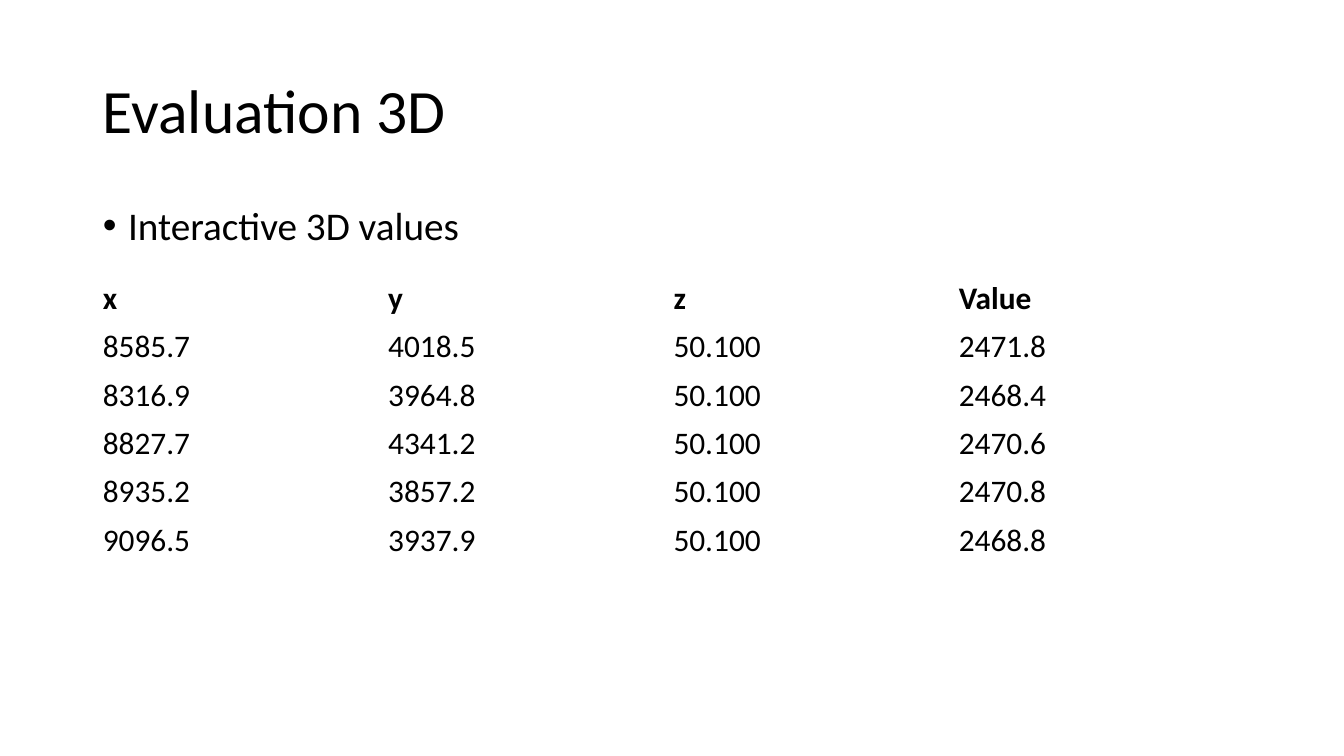
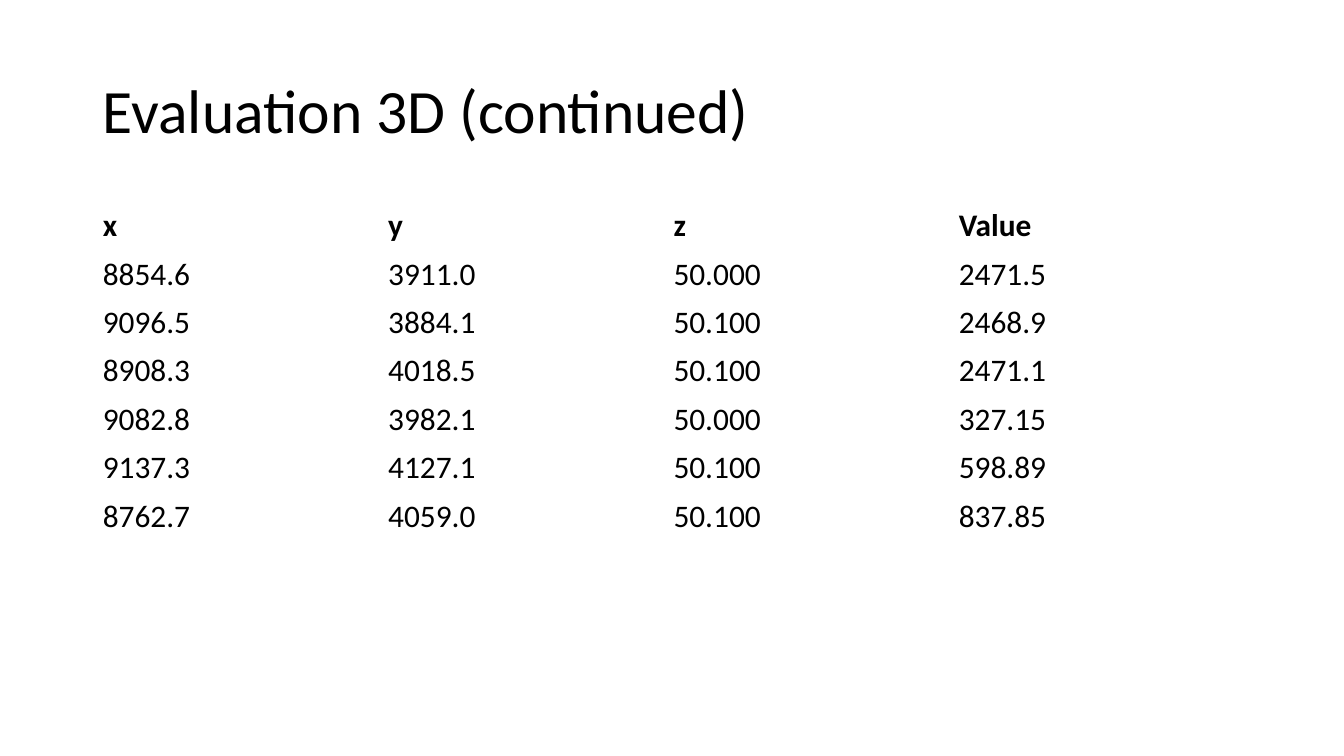
from pptx import Presentation
from pptx.dml.color import RGBColor
from pptx.enum import text
from pptx.util import Inches, Pt

FONT = "Calibri"
BLACK = "000000"
LEFT, WIDTH = 0.92, 11.5
TITLE_BOX = (LEFT, 0.4, WIDTH, 1.45)
BODY_TOP, BULLET_HEIGHT, GAP = 2, 0.58, 0.14
COLUMN_WIDTH, ROW_HEIGHT = 2.83, 0.48
TITLE_AND_BODY, TITLE_ONLY = 1, 5

HEADER = ("x", "y", "z", "Value")
FIRST_VALUES = [
    ("8585.7", "4018.5", "50.100", "2471.8"),
    ("8316.9", "3964.8", "50.100", "2468.4"),
    ("8827.7", "4341.2", "50.100", "2470.6"),
    ("8935.2", "3857.2", "50.100", "2470.8"),
    ("9096.5", "3937.9", "50.100", "2468.8"),
]
MORE_VALUES = [
    ("8854.6", "3911.0", "50.000", "2471.5"),
    ("9096.5", "3884.1", "50.100", "2468.9"),
    ("8908.3", "4018.5", "50.100", "2471.1"),
    ("9082.8", "3982.1", "50.000", "327.15"),
    ("9137.3", "4127.1", "50.100", "598.89"),
    ("8762.7", "4059.0", "50.100", "837.85"),
]


def color(value):
    """Turn a hex string into a colour."""
    return RGBColor.from_string(value)


def style(para, size, bold=False):
    """Set the shared font on a paragraph."""
    para.font.name = FONT
    para.font.size = Pt(size)
    para.font.bold = bold
    para.font.color.rgb = color(BLACK)


def fill_placeholder(shape, box, words, size):
    """Move a placeholder to its box and write one left-aligned paragraph."""
    shape.left, shape.top, shape.width, shape.height = map(Inches, box)
    frame = shape.text_frame
    frame.text = words
    frame.auto_size = text.MSO_AUTO_SIZE.NONE
    para = frame.paragraphs[0]
    para.alignment = text.PP_ALIGN.LEFT
    para.line_spacing = 0.9
    style(para, size)
    return para


def add_bullet(page, box, words):
    """Write the bulleted line in the body placeholder."""
    para = fill_placeholder(page.placeholders[1], box, words, 28)
    para.space_before = Pt(10)
    properties = para._p.get_or_add_pPr()
    properties.set("marL", str(Inches(0.25)))
    properties.set("indent", str(-Inches(0.25)))


def add_values(page, left, top, values):
    """Add a plain table with a bold header row."""
    rows = [HEADER, *values]
    size = (COLUMN_WIDTH * len(HEADER), ROW_HEIGHT * len(rows))
    frame = page.shapes.add_table(
        len(rows), len(HEADER), *map(Inches, (left, top, *size)))
    table = frame.table
    table.horz_banding = False
    for row_index, row in enumerate(rows):
        for column_index, words in enumerate(row):
            cell = table.cell(row_index, column_index)
            cell.fill.background()
            cell.text = words
            style(cell.text_frame.paragraphs[0], 22.4, bold=row_index == 0)


def add_page(deck, title, values, bullet=None):
    """Build one slide with a title, an optional bullet and a table."""
    layout = TITLE_AND_BODY if bullet else TITLE_ONLY
    page = deck.slides.add_slide(deck.slide_layouts[layout])
    fill_placeholder(page.shapes.title, TITLE_BOX, title, 44)
    top = BODY_TOP
    if bullet:
        add_bullet(page, (LEFT, top, WIDTH, BULLET_HEIGHT), bullet)
        top += BULLET_HEIGHT + GAP
    add_values(page, LEFT, top, values)


def main():
    """Build and save the deck."""
    deck = Presentation()
    deck.slide_width, deck.slide_height = Inches(13.33), Inches(7.5)
    add_page(deck, "Evaluation 3D", FIRST_VALUES, "Interactive 3D values")
    add_page(deck, "Evaluation 3D (continued)", MORE_VALUES)
    deck.save("out.pptx")


if __name__ == "__main__":
    main()
